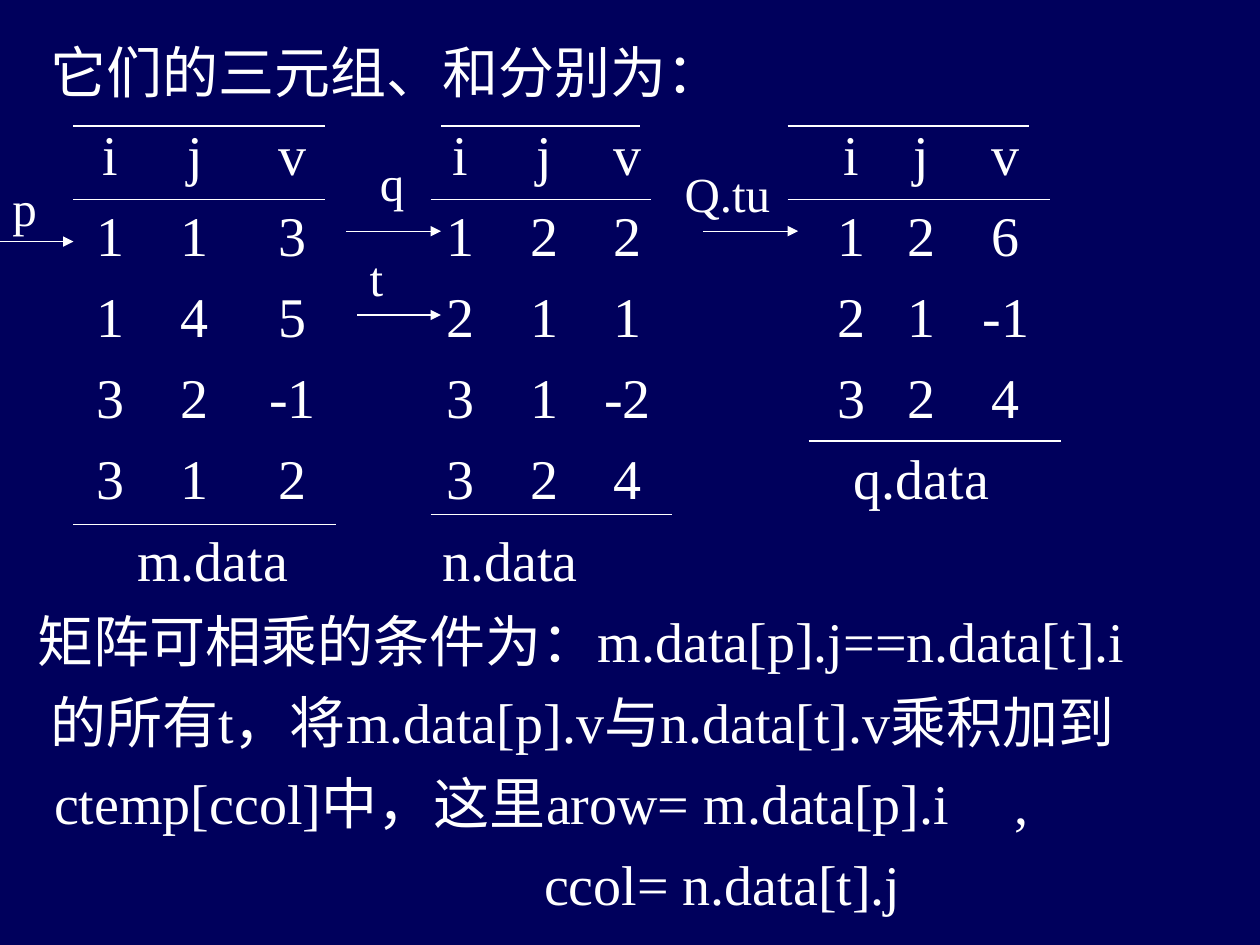
import pptx
import pptx.dml.color
import pptx.enum.shapes
import pptx.enum.text
import pptx.oxml.ns
import pptx.util
from lxml import etree

Cm, Pt = pptx.util.Cm, pptx.util.Pt
WHITE, NAVY = "FFFFFF", "00005C"
COLUMNS = [1.98, 3.68, 5.65, 9.03, 10.72, 12.4, 16.92, 18.33, 20.03]
CAPTIONS = [4.04, 10.03]
MATRIX_ROWS = [
    "i j v i j v i j v",
    "1 1 3 1 2 2 1 2 6",
    "1 4 5 2 1 1 2 1 -1",
    "3 2 -1 3 1 -2 3 2 4",
]
RULES = [
    (1.48, 6.56, 2.54), (1.48, 6.56, 4.02), (1.48, 6.77, 10.58),
    (8.89, 12.91, 2.54), (8.68, 13.12, 4.02), (8.68, 13.55, 10.37),
    (15.88, 20.74, 2.54), (15.88, 21.17, 4.02), (16.3, 21.38, 8.89),
]
POINTERS = [
    (0, 1.48, 4.87), (6.98, 8.89, 4.66), (14.18, 16.09, 4.66), (7.2, 8.89, 6.35),
]
LABELS = [
    ("p", 0, 3.45, 0.85), ("q", 7.41, 2.96, 1.06),
    ("t", 7.2, 4.87, 1.27), ("Q.tu", 13.55, 3.18, 2.33),
]


def color(value):
    """Return an RGB colour for a hex string."""
    return pptx.dml.color.RGBColor.from_string(value)


def add_box(s, left, top, width, height):
    """Add a wrapping text box and return its text frame."""
    tf = s.shapes.add_textbox(Cm(left), Cm(top), Cm(width), Cm(height)).text_frame
    tf.word_wrap = True
    return tf


def add_text(p, text, size):
    """Add a white run to a paragraph."""
    r = p.add_run()
    r.text = text
    for key, value in {"name": "Times New Roman", "size": Pt(size)}.items():
        setattr(r.font, key, value)
    r.font.color.rgb = color(WHITE)


def set_layout(p, margin=0, tabs=(), align="ctr"):
    """Set the left margin or the tab stops of a paragraph."""
    pr = p._p.get_or_add_pPr()
    if margin:
        pr.set("marL", str(Cm(margin)))
    if tabs:
        stops = etree.SubElement(pr, pptx.oxml.ns.qn("a:tabLst"))
        for pos in tabs:
            etree.SubElement(stops, pptx.oxml.ns.qn("a:tab"), pos=str(Cm(pos)), algn=align)


def add_body(s):
    """Add the matrix triples and the explanation around them."""
    rows = [("它们的三元组、和分别为：", {"margin": 0.76})]
    rows += [("\t" + "\t".join(row.split()), {"tabs": COLUMNS}) for row in MATRIX_ROWS]
    rows += [
        ("\t3\t1\t2\t3\t2\t4\t\tq.data", {"tabs": COLUMNS}),
        ("\tm.data\tn.data", {"tabs": CAPTIONS}),
        ("矩阵可相乘的条件为：m.data[p].j==n.data[t].i", {"margin": 0.5}),
        ("的所有t，将m.data[p].v与n.data[t].v乘积加到", {"margin": 0.76}),
        ("\tctemp[ccol]中，这里arow= m.data[p].i\t,", {"tabs": [0.84, 20.2], "align": "l"}),
        ("ccol= n.data[t].j", {"margin": 10.72}),
    ]
    tf = add_box(s, 0, 0.64, 25.4, 17.58)
    for i, (text, layout) in enumerate(rows):
        p = tf.add_paragraph() if i else tf.paragraphs[0]
        set_layout(p, **layout)
        if i:
            p.space_before = Pt(8)
        add_text(p, text, 32)


def add_line(s, left, right, y, arrow=False):
    """Add a thin horizontal line, with an arrowhead if asked."""
    sp = s.shapes.add_connector(
        pptx.enum.shapes.MSO_CONNECTOR.STRAIGHT, Cm(left), Cm(y), Cm(right), Cm(y))
    sp.line.color.rgb = color(WHITE)
    sp.line.width = Pt(0.75)
    if arrow:
        etree.SubElement(sp.line._get_or_add_ln(), pptx.oxml.ns.qn("a:tailEnd"), type="triangle")
    etree.SubElement(sp._element.spPr, pptx.oxml.ns.qn("a:effectLst"))


def add_label(s, text, left, top, width):
    """Add the name of a pointer."""
    tf = add_box(s, left, top, width, 1.45)
    tf.auto_size = pptx.enum.text.MSO_AUTO_SIZE.SHAPE_TO_FIT_TEXT
    add_text(tf.paragraphs[0], text, 28)


def main():
    """Build and save the slide."""
    prs = pptx.Presentation()
    prs.slide_width, prs.slide_height = Cm(25.4), Cm(19.05)
    s = prs.slides.add_slide(prs.slide_layouts[6])
    s.background.fill.solid()
    s.background.fill.fore_color.rgb = color(NAVY)
    add_body(s)
    for rule in RULES:
        add_line(s, *rule)
    for pointer in POINTERS:
        add_line(s, *pointer, arrow=True)
    for label in LABELS:
        add_label(s, *label)
    prs.save("out.pptx")


if __name__ == "__main__":
    main()
